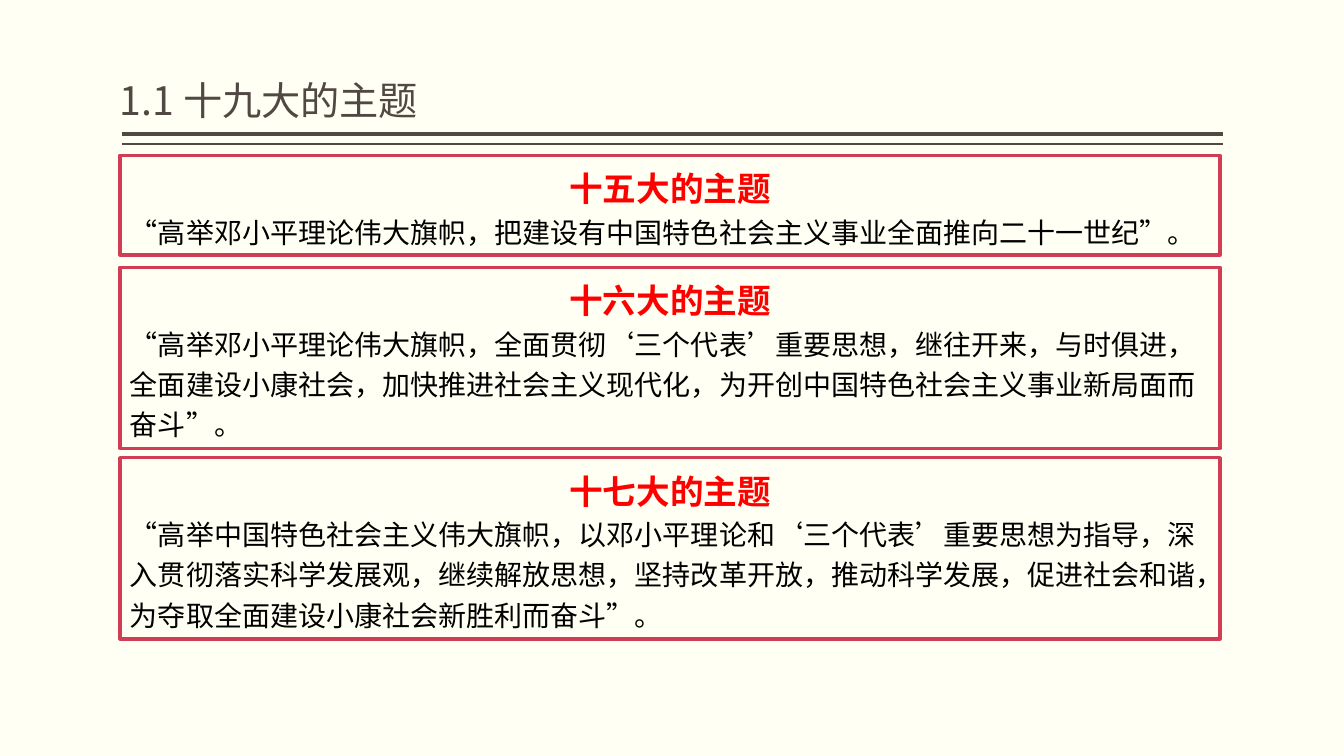
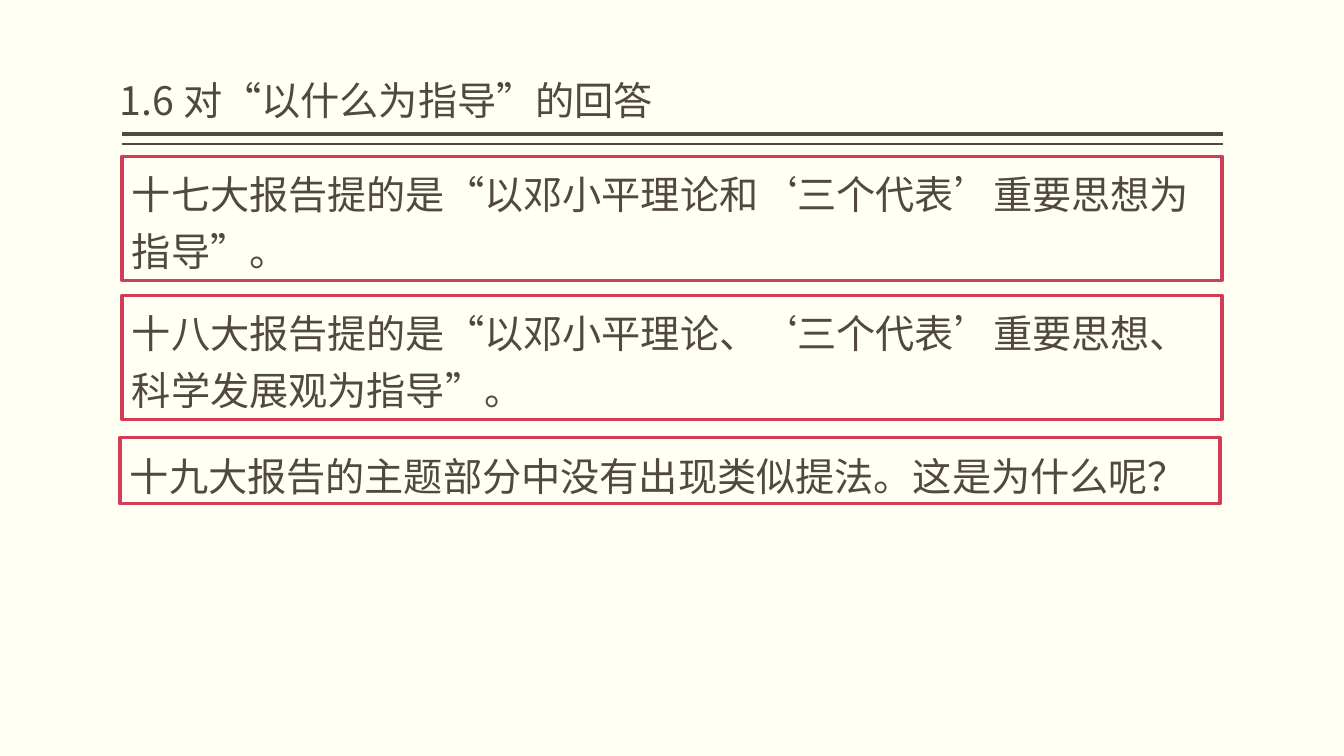
import pptx
import pptx.dml.color
import pptx.enum.lang
import pptx.enum.shapes
import pptx.enum.text
import pptx.oxml
import pptx.oxml.ns
import pptx.util
from pptx.util import Inches

FONT = "Noto Sans CJK SC"
PAPER, BROWN, CRIMSON, RED, BLACK = "FFFFF3", "514843", "D13D55", "FF0000", "000000"
ALIGN = pptx.enum.text.PP_ALIGN
ANCHOR = pptx.enum.text.MSO_ANCHOR
AUTO_SIZE = pptx.enum.text.MSO_AUTO_SIZE

HEADING = dict(size=24, color=RED, bold=True, align=ALIGN.CENTER)
QUOTE = dict(size=20, color=BLACK)
STATEMENT = dict(size=28, color=BROWN)

BOX_WIDTH = 10.91
RULES = [(1.33, 3), (1.43, 1)]  # top, weight

# Each box: left, top, height, paragraphs
PAGES = [
    ("1.1 十九大的主题", [
        (1.19, 1.54, 0.99, [
            ("十五大的主题", HEADING),
            ("“高举邓小平理论伟大旗帜，把建设有中国特色社会主义事业全面推向二十一世纪”。", QUOTE),
        ]),
        (1.19, 2.65, 1.8, [
            ("十六大的主题", HEADING),
            ("“高举邓小平理论伟大旗帜，全面贯彻‘三个代表’重要思想，继往开来，与时俱进，"
             "全面建设小康社会，加快推进社会主义现代化，为开创中国特色社会主义事业新局面而奋斗”。", QUOTE),
        ]),
        (1.19, 4.54, 1.8, [
            ("十七大的主题", HEADING),
            ("“高举中国特色社会主义伟大旗帜，以邓小平理论和‘三个代表’重要思想为指导，"
             "深入贯彻落实科学发展观，继续解放思想，坚持改革开放，推动科学发展，促进社会和谐，"
             "为夺取全面建设小康社会新胜利而奋斗”。", QUOTE),
        ]),
    ]),
    ("1.6 对“以什么为指导”的回答", [
        (1.21, 1.55, 1.23, [
            ("十七大报告提的是“以邓小平理论和‘三个代表’重要思想为指导”。", STATEMENT)]),
        (1.21, 2.93, 1.23, [
            ("十八大报告提的是“以邓小平理论、‘三个代表’重要思想、科学发展观为指导”。", STATEMENT)]),
        (1.19, 4.34, 0.66, [
            ("十九大报告的主题部分中没有出现类似提法。这是为什么呢？", STATEMENT)]),
    ]),
]


def rgb(code):
    return pptx.dml.color.RGBColor.from_string(code)


def write(para, text, size, color, bold=False, align=ALIGN.LEFT, spacing=1.2):
    para.alignment = align
    para.line_spacing = spacing
    span = para.add_run()
    span.text = text
    font = span.font
    font.size, font.bold, font.name = pptx.util.Pt(size), bold, FONT
    font.color.rgb = rgb(color)
    font.language_id = pptx.enum.lang.MSO_LANGUAGE_ID.SIMPLIFIED_CHINESE
    east_asian = pptx.oxml.parse_xml(
        f'<a:ea {pptx.oxml.ns.nsdecls("a")} typeface="{FONT}"/>')
    font._element.find(pptx.oxml.ns.qn("a:latin")).addnext(east_asian)


def add_rule(page, top, weight):
    rule = page.shapes.add_connector(
        pptx.enum.shapes.MSO_CONNECTOR.STRAIGHT,
        Inches(1.21), Inches(top), Inches(12.13), Inches(top))
    rule.line.color.rgb = rgb(BROWN)
    rule.line.width = pptx.util.Pt(weight)
    rule._element.spPr.append(
        pptx.oxml.parse_xml(f'<a:effectLst {pptx.oxml.ns.nsdecls("a")}/>'))


def format_title(title, text):
    title.left, title.top = Inches(1.19), Inches(0.08)
    title.width, title.height = Inches(10.92), Inches(1.2)
    frame = title.text_frame
    frame.margin_left = frame.margin_right = 0
    frame.margin_top = frame.margin_bottom = Inches(0.05)
    frame.vertical_anchor = ANCHOR.BOTTOM
    frame.auto_size = AUTO_SIZE.NONE
    write(frame.paragraphs[0], text, 28, BROWN, spacing=0.9)


def add_framed_box(page, left, top, height, paragraphs):
    box = page.shapes.add_shape(
        pptx.enum.shapes.MSO_SHAPE.RECTANGLE,
        Inches(left), Inches(top), Inches(BOX_WIDTH), Inches(height))
    box.shadow.inherit = False
    box.fill.background()
    box.line.color.rgb = rgb(CRIMSON)
    box.line.width = pptx.util.Pt(2.25)
    frame = box.text_frame
    frame.word_wrap = True
    frame.auto_size = AUTO_SIZE.SHAPE_TO_FIT_TEXT
    frame.vertical_anchor = ANCHOR.TOP
    for index, (text, style) in enumerate(paragraphs):
        para = frame.add_paragraph() if index else frame.paragraphs[0]
        write(para, text, **style)


def main():
    deck = pptx.Presentation()
    deck.slide_width, deck.slide_height = Inches(13.33), Inches(7.5)
    background = deck.slide_master.background.fill
    background.solid()
    background.fore_color.rgb = rgb(PAPER)
    title_only = deck.slide_layouts.get_by_name("Title Only")
    for title, boxes in PAGES:
        page = deck.slides.add_slide(title_only)
        format_title(page.shapes.title, title)
        for top, weight in RULES:
            add_rule(page, top, weight)
        for box in boxes:
            add_framed_box(page, *box)
    deck.save("out.pptx")


if __name__ == "__main__":
    main()
